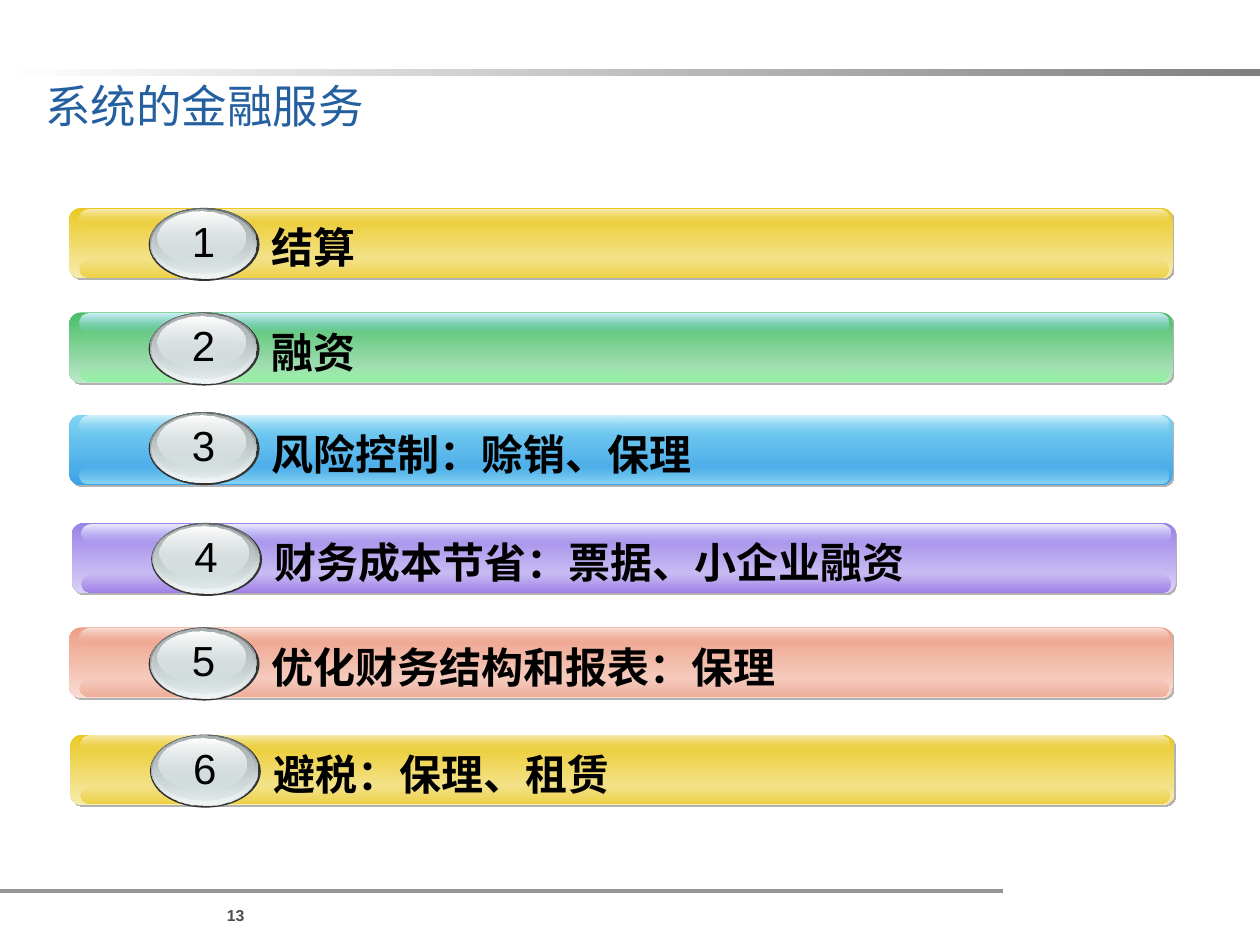
"""Build a slide listing six systematic financial services as glossy numbered bars."""
from lxml import etree
from pptx import Presentation
from pptx.dml.color import RGBColor
from pptx.enum.shapes import MSO_CONNECTOR, MSO_SHAPE
from pptx.enum.text import PP_ALIGN
from pptx.oxml.ns import qn
from pptx.util import Inches, Pt

RECTANGLE, ROUNDED, OVAL = MSO_SHAPE.RECTANGLE, MSO_SHAPE.ROUNDED_RECTANGLE, MSO_SHAPE.OVAL
LEFT, CENTER, RIGHT = PP_ALIGN.LEFT, PP_ALIGN.CENTER, PP_ALIGN.RIGHT
RIGHTWARD, DOWNWARD = 0, 270
FONT = "Arial"

COLORS = {
    "title": "245FA0", "text": "000000", "number": "4D4D4D", "rule": "969696",
    "white": "FFFFFF", "gray": "808080", "shadow": "B2B2B2",
    "rim": "333333", "steel": "636869", "silver": "D6E1E2", "pale": "F1F5F5", "ash": "AAB2B3",
}
# Bar, lower gloss and upper gloss, each from top to bottom
PALETTES = {
    "yellow": (("EAC924", "F7EBAF"), ("EAC924", "EDD03F"), ("F8EDB6", "EAC924")),
    "green": (("48BE67", "BCE7C8"), ("82F094", "91F2A1"), ("D5F1FB", "80D4F2")),
    "blue": (("80D4F2", "3CA1E6"), ("80D4F2", "8FD9F4"), ("D5F1FB", "80D4F2")),
    "purple": (("9A82E8", "DAD1F7"), ("8D67E1", "9B79E5"), ("EEEFFE", "CBD0FD")),
    "coral": (("ED9E85", "F8DCD3"), ("ED9E85", "EFAA94"), ("F9DFD6", "ED9E85")),
}
# Wording, palette, left, top, vertical shift of the badge
ROWS = [
    ("结算", "yellow", 0.55, 1.65, 0),
    ("融资", "green", 0.55, 2.48, 0),
    ("风险控制：赊销、保理", "blue", 0.55, 3.29, -0.02),
    ("财务成本节省：票据、小企业融资", "purple", 0.57, 4.15, 0),
    ("优化财务结构和报表：保理", "coral", 0.55, 4.98, 0),
    ("避税：保理、租赁", "yellow", 0.56, 5.83, 0),
]
# Offset from the row corner, size, top and bottom colour, their opacities
BADGE_LAYERS = [
    (0.64, 0, 0.85, 0.56, ("steel", "silver"), (100, 100)),
    (0.65, 0.01, 0.83, 0.55, ("silver", "pale"), (0, 100)),
    (0.66, 0.01, 0.79, 0.51, ("ash", "silver"), (100, 48)),
    (0.70, 0.03, 0.70, 0.41, ("white", "silver"), (100, 38)),
]


def add_plain_shape(shapes, kind, left, top, width, height):
    shape = shapes.add_shape(kind, Inches(left), Inches(top), Inches(width), Inches(height))
    shape.shadow.inherit = False
    shape.line.fill.background()
    return shape


def add_gradient_shape(shapes, kind, box, colors, opacities=(100, 100), angle=DOWNWARD):
    shape = add_plain_shape(shapes, kind, *box)
    shape.fill.gradient()
    shape.fill.gradient_angle = angle
    for stop, color in zip(shape.fill.gradient_stops, colors):
        stop.color.rgb = RGBColor.from_string(color)
    for color_element, opacity in zip(shape.element.iter(qn("a:srgbClr")), opacities):
        if opacity < 100:
            etree.SubElement(color_element, qn("a:alpha"), val=str(opacity * 1000))
    return shape


def add_drop_shadow(shape):
    effects = shape.element.spPr.find(qn("a:effectLst"))
    shadow = etree.SubElement(effects, qn("a:outerShdw"), dist=str(Pt(1.4)), dir="2700000",
                              algn="ctr", rotWithShape="0")
    etree.SubElement(shadow, qn("a:srgbClr"), val=COLORS["shadow"])


def add_text(shapes, text, box, size, color, bold=False, align=LEFT, margins=(0, 0)):
    text_box = shapes.add_textbox(*(Inches(length) for length in box))
    frame = text_box.text_frame
    frame.word_wrap = True
    frame.margin_left = frame.margin_right = Inches(margins[0])
    frame.margin_top = frame.margin_bottom = Inches(margins[1])
    paragraph = frame.paragraphs[0]
    paragraph.text = text
    paragraph.alignment = align
    paragraph.font.name = FONT
    paragraph.font.size = Pt(size)
    paragraph.font.bold = bold
    paragraph.font.color.rgb = RGBColor.from_string(COLORS[color])


def add_row(slide, number, text, palette, left, top, shift):
    shapes = slide.shapes.add_group_shape().shapes
    bar_colors, lower_colors, upper_colors = PALETTES[palette]
    bar = add_gradient_shape(shapes, ROUNDED, (left, top, 8.76, 0.56), bar_colors)
    bar.adjustments[0] = 0.167
    add_drop_shadow(bar)
    for offset, colors, opacities in ((0.41, lower_colors, (0, 100)), (0.01, upper_colors, (100, 0))):
        gloss = add_gradient_shape(shapes, ROUNDED, (left + 0.08, top + offset, 8.64, 0.14),
                                   colors, opacities)
        gloss.adjustments[0] = 0.5
    add_text(shapes, text, (left + 1.51, top + 0.06, 5.26, 0.5), 24, "text", bold=True,
             margins=(0.1, 0.05))

    badge_top = top + shift
    rim = add_plain_shape(shapes, OVAL, left + 0.63, badge_top, 0.88, 0.58)
    rim.fill.solid()
    rim.fill.fore_color.rgb = RGBColor.from_string(COLORS["rim"])
    for x, y, width, height, names, opacities in BADGE_LAYERS:
        add_gradient_shape(shapes, OVAL, (left + x, badge_top + y, width, height),
                           [COLORS[name] for name in names], opacities)
    add_text(shapes, str(number), (left + 0.75, badge_top + 0.01, 0.63, 0.5), 24, "text",
             align=CENTER, margins=(0.1, 0.05))


def main():
    presentation = Presentation()
    presentation.slide_width, presentation.slide_height = Inches(10), Inches(7.5)
    slide = presentation.slides.add_slide(presentation.slide_layouts[6])

    add_gradient_shape(slide.shapes, RECTANGLE, (0, 0.55, 10, 0.05),
                       (COLORS["white"], COLORS["gray"]), angle=RIGHTWARD)
    add_text(slide.shapes, "13", (0.84, 7.19, 1.1, 0.15), 9, "number", bold=True, align=RIGHT)
    rule = slide.shapes.add_connector(MSO_CONNECTOR.STRAIGHT, 0, Inches(7.07),
                                      Inches(7.96), Inches(7.07))
    rule.line.color.rgb = RGBColor.from_string(COLORS["rule"])
    rule.line.width = Pt(0)
    etree.SubElement(rule.element.spPr, qn("a:effectLst"))
    add_text(slide.shapes, "系统的金融服务", (0.36, 0.62, 5.7, 0.43), 26, "title")

    for number, row in enumerate(ROWS, start=1):
        add_row(slide, number, *row)
    presentation.save("out.pptx")


if __name__ == "__main__":
    main()
